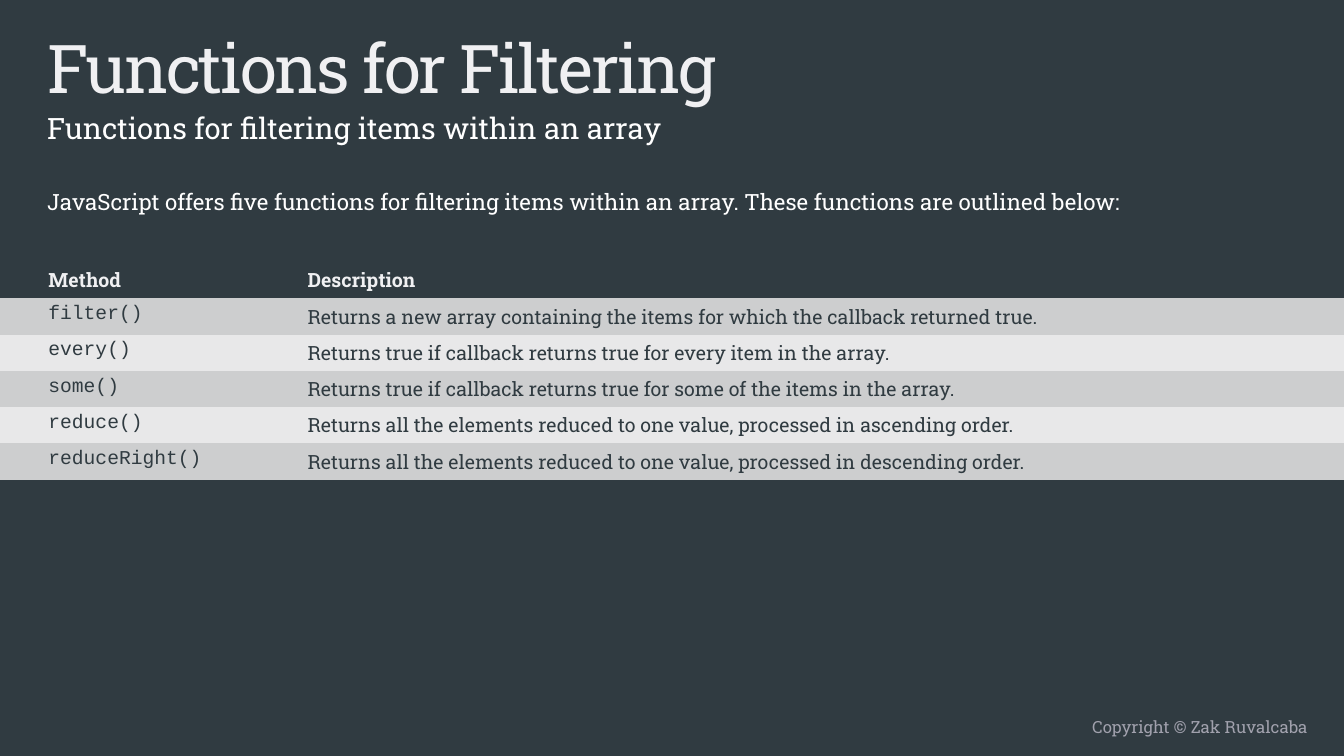
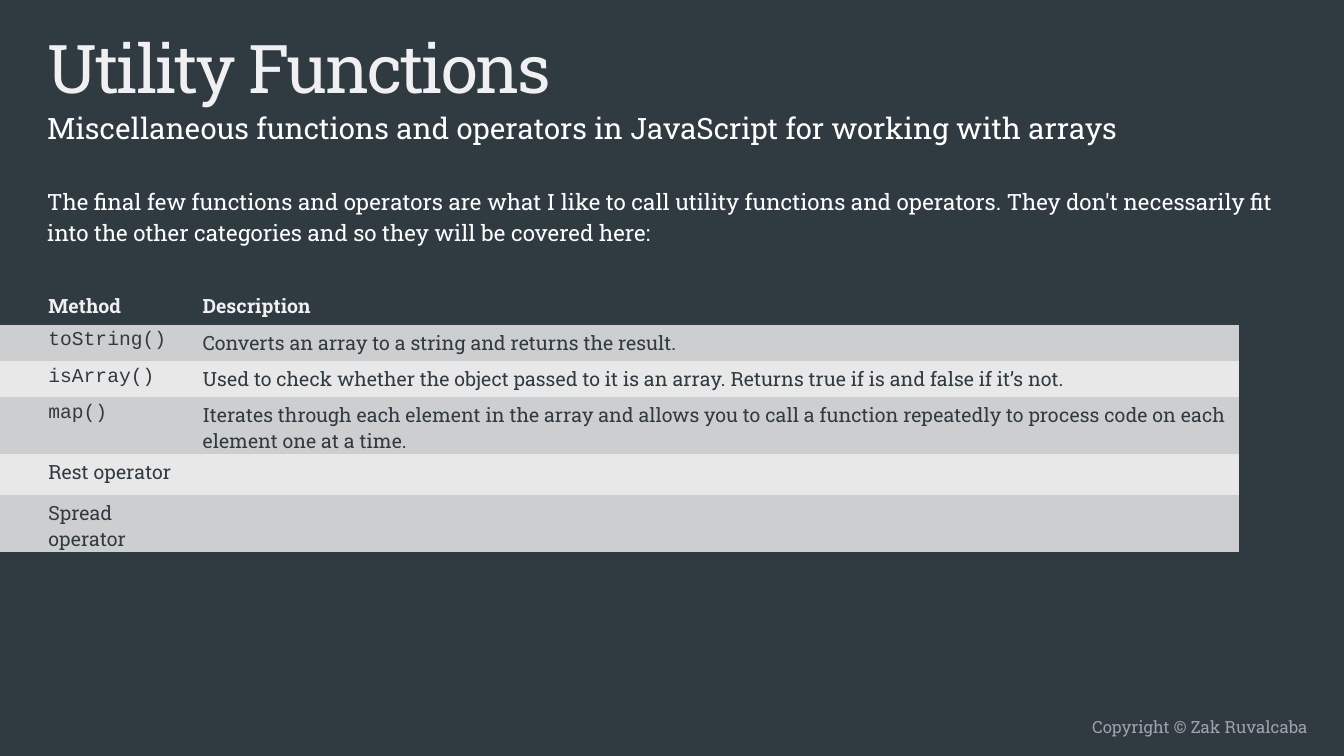
from dataclasses import dataclass

from pptx import Presentation
from pptx.dml.color import RGBColor
from pptx.enum.text import MSO_ANCHOR, PP_ALIGN as Align
from pptx.oxml.ns import qn
from pptx.slide import Slide
from pptx.text.text import TextFrame
from pptx.util import Inches, Pt

COLORS = {
    "background": "303B41",
    "heading": "F0F0F2",
    "text": "FFFFFF",
    "footer": "A1A1AD",
    "dark_band": "CDCECF",
    "light_band": "E8E8E9",
}
FONT, CODE_FONT = "Roboto Slab", "Courier New"
PLAIN_TABLE_STYLE = "{2D5ABB26-0587-4C30-8999-92F81FD0307C}"
LEFT = 0.37
ROW_HEIGHT = 0.36
DESCRIPTION_WIDTH = 10.38
FOOTER = "Copyright © Zak Ruvalcaba"


@dataclass(frozen=True)
class Topic:
    title: str
    subtitle: str
    intro: str
    table_top: float
    method_width: float
    methods: list[tuple[str, str]]


TOPICS = [
    Topic(
        "Functions for Filtering",
        "Functions for filtering items within an array",
        "JavaScript offers five functions for filtering items within an array. "
        "These functions are outlined below:",
        2.6, 2.95,
        [
            ("filter()", "Returns a new array containing the items for which the callback returned true."),
            ("every()", "Returns true if callback returns true for every item in the array."),
            ("some()", "Returns true if callback returns true for some of the items in the array."),
            ("reduce()", "Returns all the elements reduced to one value, processed in ascending order."),
            ("reduceRight()", "Returns all the elements reduced to one value, processed in descending order."),
        ],
    ),
    Topic(
        "Utility Functions",
        "Miscellaneous functions and operators in JavaScript for working with arrays",
        "The final few functions and operators are what I like to call utility functions and operators. "
        "They don't necessarily fit into the other categories and so they will be covered here:",
        2.86, 1.91,
        [
            ("toString()", "Converts an array to a string and returns the result."),
            ("isArray()", "Used to check whether the object passed to it is an array. "
                          "Returns true if is and false if it’s not."),
            ("map()", "Iterates through each element in the array and allows you to call a function "
                      "repeatedly to process code on each element one at a time."),
            ("Rest operator", ""),
            ("Spread operator", ""),
        ],
    ),
]


def rgb(name: str) -> RGBColor:
    return RGBColor.from_string(COLORS[name])


def write(frame: TextFrame, text: str, *, size: float, color: str, font: str = FONT,
          bold: bool = False, align: Align = Align.LEFT, line_spacing: float = 1,
          before: float = 0, tracking: float = 0) -> None:
    """Put one formatted paragraph into a text frame."""
    para = frame.paragraphs[0]
    para.alignment = align
    para.line_spacing = line_spacing
    para.space_before = Pt(before)
    span = para.add_run()
    span.text = text
    span.font.name, span.font.size, span.font.bold = font, Pt(size), bold
    span.font.color.rgb = rgb(color)
    if tracking:
        span.font._element.set("spc", str(round(tracking * 100)))


def add_text(page: Slide, text: str, left: float, top: float, width: float,
             height: float, **style) -> None:
    box = page.shapes.add_textbox(Inches(left), Inches(top), Inches(width), Inches(height))
    box.text_frame.word_wrap = True
    box.text_frame.vertical_anchor = MSO_ANCHOR.TOP
    write(box.text_frame, text, **style)


def add_methods(page: Slide, topic: Topic) -> None:
    """Draw the header row and the banded method rows."""
    rows = [("Method", "Description"), *topic.methods]
    widths = (topic.method_width, DESCRIPTION_WIDTH)
    frame = page.shapes.add_table(
        len(rows), len(widths), Inches(0), Inches(topic.table_top),
        Inches(sum(widths)), Inches(ROW_HEIGHT * len(rows)))
    table = frame.table
    table.first_row = table.horz_banding = False
    table._tbl.tblPr.find(qn("a:tableStyleId")).text = PLAIN_TABLE_STYLE
    for column, width in zip(table.columns, widths):
        column.width = Inches(width)
    for row_index, row in enumerate(rows):
        header = row_index == 0
        band = "background" if header else ("light_band", "dark_band")[row_index % 2]
        for column_index, text in enumerate(row):
            cell = table.cell(row_index, column_index)
            cell.fill.solid()
            cell.fill.fore_color.rgb = rgb(band)
            if column_index == 0:
                cell.margin_left = Inches(0.48)
            write(cell.text_frame, text, size=14, bold=header,
                  color="heading" if header else "background",
                  font=CODE_FONT if text.endswith("()") else FONT)


def add_topic(deck: Presentation, topic: Topic) -> None:
    page = deck.slides.add_slide(deck.slide_layouts[6])
    page.background.fill.solid()
    page.background.fill.fore_color.rgb = rgb("background")
    # Footer
    add_text(page, FOOTER, 6.67, 7.06, 6.4, 0.31, size=12, color="footer", align=Align.RIGHT)
    # Headings and introduction
    add_text(page, topic.title, LEFT, 0.21, 11.76, 0.79, size=48, color="heading", tracking=-1.5)
    add_text(page, topic.subtitle, LEFT, 0.99, 11.76, 0.39, size=21, color="text",
             line_spacing=1.15, before=4.2)
    add_text(page, topic.intro, LEFT, 1.78, 12.59, 5.12, size=16, color="text",
             line_spacing=1.15, before=3.2)
    # Method table
    add_methods(page, topic)


def main() -> None:
    deck = Presentation()
    deck.slide_width, deck.slide_height = Inches(13.33), Inches(7.5)
    for topic in TOPICS:
        add_topic(deck, topic)
    deck.save("out.pptx")


if __name__ == "__main__":
    main()
